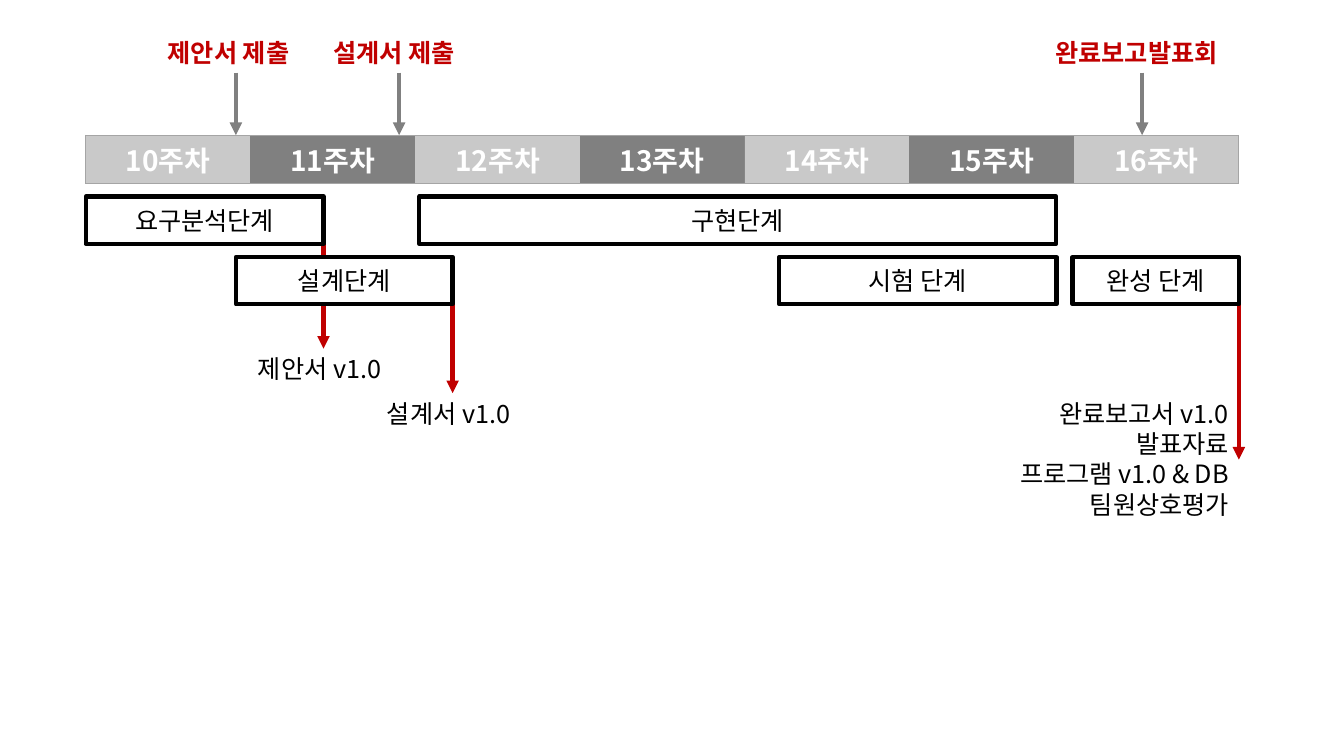
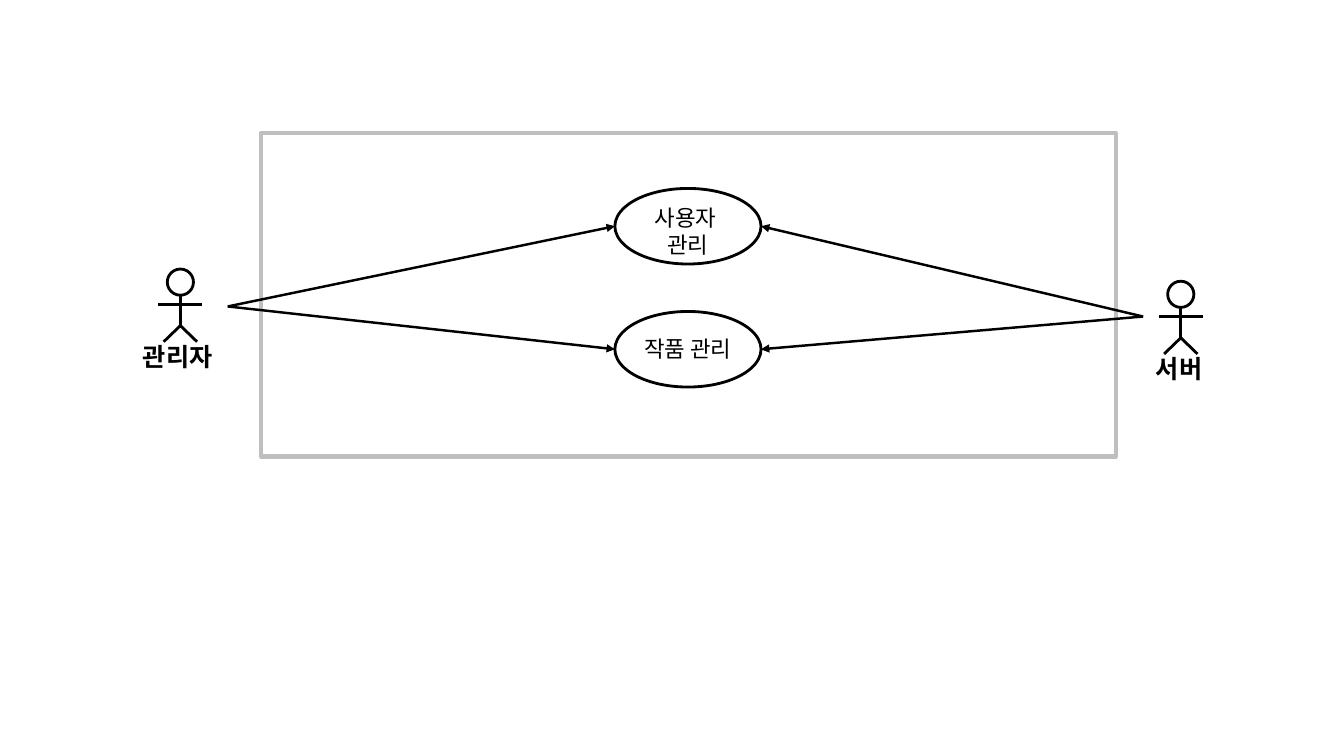
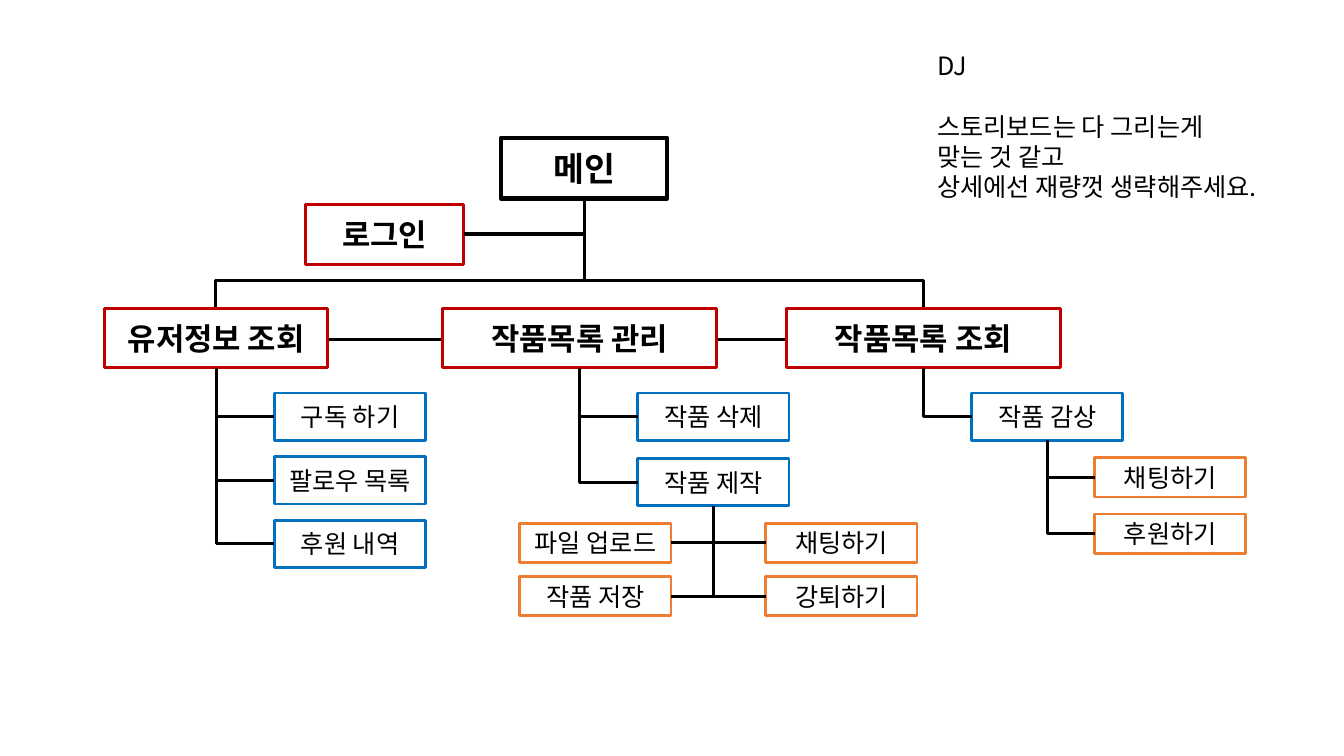
"""Builds a project schedule, a use case diagram and a menu tree."""
from lxml import etree
from pptx import Presentation
from pptx.dml.color import RGBColor
from pptx.enum.shapes import MSO_CONNECTOR, MSO_SHAPE
from pptx.enum.text import MSO_ANCHOR, MSO_AUTO_SIZE, PP_ALIGN
from pptx.oxml.ns import qn
from pptx.util import Pt

STRAIGHT, ELBOW = MSO_CONNECTOR.STRAIGHT, MSO_CONNECTOR.ELBOW
RECTANGLE, OVAL = MSO_SHAPE.RECTANGLE, MSO_SHAPE.OVAL
LEFT, CENTER, RIGHT = PP_ALIGN.LEFT, PP_ALIGN.CENTER, PP_ALIGN.RIGHT
TOP, MIDDLE = MSO_ANCHOR.TOP, MSO_ANCHOR.MIDDLE
FIT_TEXT = MSO_AUTO_SIZE.SHAPE_TO_FIT_TEXT

BLACK = RGBColor(0x00, 0x00, 0x00)
WHITE = RGBColor(0xFF, 0xFF, 0xFF)
RED = RGBColor(0xC0, 0x00, 0x00)
BLUE = RGBColor(0x00, 0x70, 0xC0)
ORANGE = RGBColor(0xED, 0x7D, 0x31)
PALE_GRAY = RGBColor(0xBF, 0xBF, 0xBF)
LIGHT_GRAY = RGBColor(0xA5, 0xA5, 0xA5)
DARK_GRAY = RGBColor(0x80, 0x80, 0x80)

FONT = "Noto Sans CJK KR"
LINE_HEIGHT = 1.2
LABEL_HEIGHT = 28.8
LEFT_SITE, BOTTOM_SITE, RIGHT_SITE = 1, 2, 3

MENU_LEVELS = {
    "main": dict(height=43.2, size=24, bold=True, line=BLACK, weight=3),
    "page": dict(height=42.5, size=22, bold=True, line=RED, weight=2),
    "action": dict(height=33.8, size=18, bold=False, line=BLUE, weight=2),
    "detail": dict(height=28.1, size=18, bold=False, line=ORANGE, weight=2),
}


def write(frame, text, size=18, color=BLACK, bold=False, align=LEFT, anchor=TOP, gap_before=()):
    """Fill a text frame, one paragraph a line; gap_before lists lines set off by a line."""
    frame.vertical_anchor = anchor
    for number, line in enumerate(text.split("\n")):
        paragraph = frame.add_paragraph() if number else frame.paragraphs[0]
        paragraph.alignment = align
        paragraph.line_spacing = Pt(size * LINE_HEIGHT)
        if number in gap_before:
            paragraph.space_before = Pt(size * LINE_HEIGHT)
        run = paragraph.add_run()
        run.text = line
        run.font.name, run.font.size, run.font.bold = FONT, Pt(size), bold
        run.font.color.rgb = color
        etree.SubElement(run.font._element, qn("a:ea")).set("typeface", FONT)


def add_label(shapes, x, y, width, height, text, wrap=False, **text_format):
    """Place text without an outline."""
    label = shapes.add_textbox(Pt(x), Pt(y), Pt(width), Pt(height))
    label.text_frame.word_wrap = wrap
    label.text_frame.auto_size = FIT_TEXT
    write(label.text_frame, text, **text_format)


def add_box(shapes, x, y, width, height, text="", kind=RECTANGLE, line=BLACK, weight=3,
            fill=None, **text_format):
    """Place an outlined shape with centred text."""
    box = shapes.add_shape(kind, Pt(x), Pt(y), Pt(width), Pt(height))
    box.shadow.inherit = False
    if fill is None:
        box.fill.background()
    else:
        box.fill.solid()
        box.fill.fore_color.rgb = fill
    box.line.color.rgb, box.line.width = line, Pt(weight)
    if text:
        box.text_frame.word_wrap = True
        write(box.text_frame, text, align=CENTER, anchor=MIDDLE, **text_format)
    return box


def style_line(connector, color, weight, arrow=False):
    """Set the look of a connector."""
    connector.line.color.rgb, connector.line.width = color, Pt(weight)
    if arrow:
        etree.SubElement(connector.line._get_or_add_ln(), qn("a:tailEnd")).set("type", "triangle")
    etree.SubElement(connector._element.spPr, qn("a:effectLst"))


def add_line(shapes, start, end, color=BLACK, weight=2, arrow=False):
    """Draw a straight line between two points."""
    connector = shapes.add_connector(STRAIGHT, *(Pt(value) for value in (*start, *end)))
    style_line(connector, color, weight, arrow)


def join(shapes, parent, child, child_site):
    """Lead a one-bend line from the side of a child to the bottom of its parent."""
    elbow = shapes.add_connector(ELBOW, child.left, child.top, parent.left, parent.top)
    elbow.begin_connect(child, child_site)
    elbow.end_connect(parent, BOTTOM_SITE)
    elbow._element.spPr.find(qn("a:prstGeom")).set("prst", "bentConnector2")
    style_line(elbow, BLACK, 2.25)


def set_borders(cell, visible_sides):
    """Draw thin gray lines on the named sides of a cell and none on the others."""
    properties = cell._tc.get_or_add_tcPr()
    for position, side in enumerate("LRTB"):
        border = etree.Element(qn("a:ln" + side), w=str(int(Pt(0.5))))
        if side in visible_sides:
            paint = etree.SubElement(border, qn("a:solidFill"))
            etree.SubElement(paint, qn("a:srgbClr")).set("val", str(LIGHT_GRAY))
        else:
            etree.SubElement(border, qn("a:noFill"))
        properties.insert(position, border)


def add_weeks(shapes, x, y, width, height, weeks):
    """Draw the band of weeks as a one-row table."""
    table = shapes.add_table(1, len(weeks), Pt(x), Pt(y), Pt(width), Pt(height)).table
    table.first_row = table.horz_banding = False
    for number, week in enumerate(weeks):
        table.columns[number].width = Pt(width / len(weeks))
        cell = table.cell(0, number)
        cell.margin_top, cell.margin_bottom = Pt(7.6), Pt(0)
        cell.fill.solid()
        cell.fill.fore_color.rgb = DARK_GRAY if number % 2 else LIGHT_GRAY
        if number % 2 == 0:
            shade = cell._tc.tcPr.find(".//" + qn("a:srgbClr"))
            etree.SubElement(shade, qn("a:alpha")).set("val", "60000")
        ends = ("L" if number == 0 else "") + ("R" if number == len(weeks) - 1 else "")
        set_borders(cell, "TB" + ends)
        write(cell.text_frame, f"{week}주차", size=20, color=WHITE, bold=True, align=CENTER)


def add_milestone(shapes, x, y, width, height, text):
    """Place a red label over an arrow that ends at the foot of the box."""
    group = shapes.add_group_shape().shapes
    center = x + width / 2
    add_line(group, (center, y + LABEL_HEIGHT), (center, y + height), DARK_GRAY, 3, arrow=True)
    add_label(group, x, y, width, LABEL_HEIGHT, text, color=RED, bold=True)


def build_schedule(shapes, x, y, width, height):
    """Lay out milestones, weeks, phases and deliverables of the project."""
    weeks_top, weeks_height = y + 73.5, 34.6
    row_tops = (y + 117.4, y + 160.6)
    phase_height = 33.8

    first_reports_top, last_reports_top = y + 226.1, y + 257.8
    for offset, start, end in ((width, row_tops[1] + 16.6, y + 305.3),
                               (262.1, row_tops[1] + 16.6, last_reports_top),
                               (169.9, row_tops[0] + 16.6, first_reports_top)):
        add_line(shapes, (x + offset, start), (x + offset, end), RED, 3, arrow=True)
    add_label(shapes, x + width - 177.8, last_reports_top, 177.8, height - 257.8,
              "완료보고서 v1.0\n발표자료\n프로그램 v1.0 & DB\n팀원상호평가", wrap=True, align=RIGHT)

    add_weeks(shapes, x, weeks_top, width, weeks_height, range(10, 17))
    for center, label_width, text in ((107.3, 111.6, "제안서 제출"), (223.9, 108, "설계서 제출"),
                                      (754.6, 138.2, "완료보고발표회")):
        add_milestone(shapes, x + center - label_width / 2, y, label_width, weeks_top - y, text)

    for row, offset, phase_width, phase, fill in (
            (0, 0, 169.9, "요구분석단계", None), (1, 107.3, 154.8, "설계단계", WHITE),
            (0, 238.3, 455, "구현단계", None), (1, 704.9, 118.8, "완성 단계", None),
            (1, 495.4, 198, "시험 단계", None)):
        add_box(shapes, x + offset, row_tops[row], phase_width, phase_height, phase, fill=fill)

    for offset, top, report in ((115.9, first_reports_top, "제안서 v1.0"),
                                (208.1, last_reports_top, "설계서 v1.0")):
        add_label(shapes, x + offset, top, 108, LABEL_HEIGHT, report)


def add_actor(shapes, x, y, width, name):
    """Draw a stick figure centred over its name."""
    group = shapes.add_group_shape().shapes
    center, head, hip = x + width / 2, 18.7, y + 40.4
    add_box(group, center - head / 2, y, head, head, kind=OVAL, weight=2)
    add_line(group, (center, y + 18), (center, y + 41.8))
    for side in (-1, 1):
        add_line(group, (center, hip), (center + side * 11.9, y + 51.9))
    add_line(group, (center - 15.8, y + 25.2), (center + 15.8, y + 25.2))
    add_label(group, x, y + 48.3, width, LABEL_HEIGHT, name, bold=True)


def add_use_case(shapes, x, y, width, height, text, label_top, label_width, label_height):
    """Draw an ellipse with its label centred across it."""
    group = shapes.add_group_shape().shapes
    add_box(group, x, y, width, height, kind=OVAL, weight=2)
    add_label(group, x + (width - label_width) / 2, y + label_top, label_width, label_height,
              text, size=16, align=CENTER)


def build_use_cases(shapes, x, y, width, height):
    """Lay out the system frame, its use cases and the two actors beside it."""
    add_box(shapes, x, y, width, height, line=PALE_GRAY)
    add_actor(shapes, x - 91.5, y + 97.2, 67.7, "관리자")
    add_actor(shapes, x + 632.1, y + 105.9, 49.7, "서버")

    case_left, case_width, case_height = x + 252.7, 104.4, 54
    case_tops = (y + 39.6, y + 127.5)
    add_use_case(shapes, case_left, case_tops[0], case_width, case_height,
                 "사용자 \n관리", 7.9, 66.2, 46.1)
    add_use_case(shapes, case_left, case_tops[1], case_width, case_height,
                 "작품 관리", 13, 82.1, 26.6)

    for hand, case_edge in (((x - 23.8, y + 123.9), case_left),
                            ((x + 630, y + 131.1), case_left + case_width)):
        for top in case_tops:
            add_line(shapes, hand, (case_edge, top + case_height / 2), weight=1.75, arrow=True)


def add_node(shapes, level, x, y, width, text, fill=None):
    """Place a menu box in the style of its level."""
    return add_box(shapes, x, y, width, text=text, fill=fill, **MENU_LEVELS[level])


def add_branch(shapes, parent, level, labels, reach, drop, pitch):
    """Stack children below a parent, to the right, or to the left if reach is negative."""
    width = 108
    left = (parent.left + parent.width / 2) / Pt(1) + reach - (width if reach < 0 else 0)
    top = (parent.top + parent.height) / Pt(1) + drop
    site = RIGHT_SITE if reach < 0 else LEFT_SITE
    children = []
    for number, label in enumerate(labels):
        child = add_node(shapes, level, left, top + number * pitch, width, label)
        join(shapes, parent, child, site)
        children.append(child)
    return children


def build_menu(shapes, x, y, width, height):
    """Lay out the menu tree from the main page down to the details."""
    rail_top, page_top, trunk = y + 101.6, y + 121.7, x + 342.7
    add_box(shapes, x + 79.2, rail_top, 505.4, 42.5, weight=2.25)
    add_node(shapes, "main", x + 282.9, y, 118.8, "메인")
    add_line(shapes, (trunk, y + 43.2), (trunk, rail_top), weight=2.25)
    add_node(shapes, "page", x + 143.3, y + 47.6, 113, "로그인")
    add_line(shapes, (x + 256.3, y + 68.6), (trunk, y + 68.6), weight=2.25)

    user, manage, view = (
        add_node(shapes, "page", x + offset, page_top, page_width, text, fill=WHITE)
        for offset, page_width, text in ((0, 159.1, "유저정보 조회"), (241.2, 195.8, "작품목록 관리"),
                                         (486.7, 195.8, "작품목록 조회")))
    add_branch(shapes, user, "action", ("구독 하기", "팔로우 목록", "후원 내역"), 41.6, 18, 45.4)
    make = add_branch(shapes, manage, "action", ("작품 삭제", "작품 제작"), 41.6, 18, 46.8)[-1]
    watch = add_branch(shapes, view, "action", ("작품 감상",), 34.6, 18, 0)[-1]
    add_branch(shapes, make, "detail", ("파일 업로드", "작품 저장"), -30.3, 12.3, 38.1)
    add_branch(shapes, make, "detail", ("채팅하기", "강퇴하기"), 37.4, 12.3, 38.1)
    add_branch(shapes, watch, "detail", ("채팅하기", "후원하기"), 33.8, 12.3, 40.3)

    add_label(shapes, x + width - 235, y - 66.2, 264.2, 116.6,
              "DJ\n스토리보드는 다 그리는게\n맞는 것 같고\n상세에선 재량껏 생략해주세요.", gap_before=(1,))


def main():
    """Build the three slides and save them."""
    deck = Presentation()
    deck.slide_width, deck.slide_height = Pt(960), Pt(540)
    for build, area in ((build_schedule, (61.2, 23, 823.7, 352.1)),
                        (build_use_cases, (186.5, 95, 610.6, 231.1)),
                        (build_menu, (74.9, 98.6, 822.5, 341.3))):
        build(deck.slides.add_slide(deck.slide_layouts[6]).shapes, *area)
    deck.save("out.pptx")


main()
